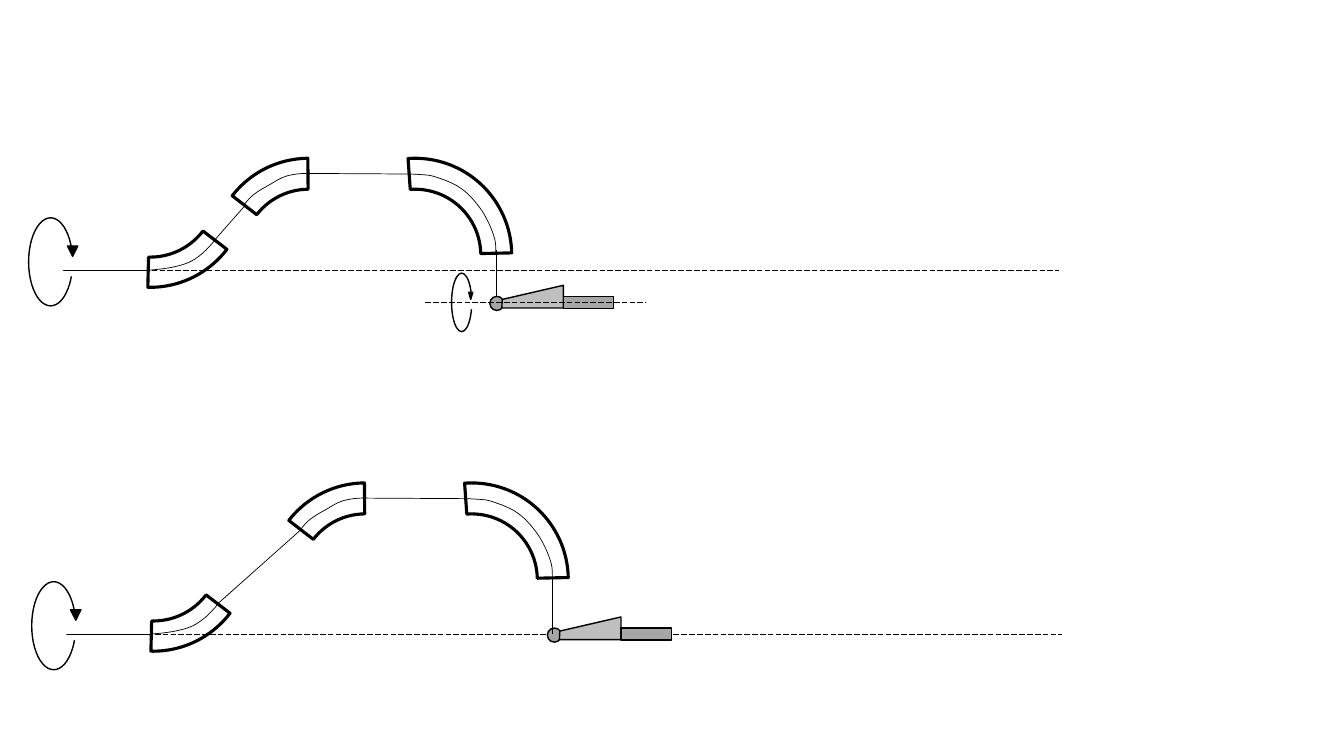
from lxml import etree
from pptx import Presentation
from pptx.dml.color import RGBColor
from pptx.enum.dml import MSO_LINE
from pptx.enum.shapes import MSO_CONNECTOR, MSO_SHAPE
from pptx.oxml.ns import qn
from pptx.util import Pt

STRAIGHT = MSO_CONNECTOR.STRAIGHT
LONG_DASH = MSO_LINE.LONG_DASH
ARC = MSO_SHAPE.ARC
BLOCK_ARC = MSO_SHAPE.BLOCK_ARC
OVAL = MSO_SHAPE.OVAL
RECTANGLE = MSO_SHAPE.RECTANGLE
TRIANGLE = MSO_SHAPE.ISOSCELES_TRIANGLE

BLACK, WHITE, GREY, LIGHT_GREY = "000000", "FFFFFF", "A6A6A6", "BFBFBF"
THIN, MEDIUM, THICK = 0.5, 1, 2.25
BEND_SIZE = 138.2

BASE_CURVE = [(119.5, -21.2), (114.5, -15.1), (108.7, -9), (100.8, -5.4),
              (92.9, -2.2), (82.8, -0.7), (72, 0)]
RISING_CURVE = [(0, 22.7), (2.2, 20), (4.2, 17.4), (7.2, 15.1), (10.6, 12.4),
                (15.3, 9.9), (19.4, 7.6), (23, 5.4), (26.1, 3.4), (30.4, 2),
                (35, 0.6), (40.5, 0.1), (46.1, 0)]
FALLING_CURVE = [(117.4, 0.4), (122.4, 0.7), (128.2, 0.9), (132.5, 1.4),
                 (136.8, 2.2), (139.7, 3.6), (144, 5), (147.6, 6.5),
                 (151.9, 8.3), (155.2, 10.8), (158.4, 13), (161.3, 15.8),
                 (164.2, 19.1), (166.3, 21.6), (168.1, 23.8), (170.3, 27),
                 (172.4, 30.2), (175, 35.3), (176.4, 38.9), (177.8, 42.1),
                 (178.6, 44.6), (179.3, 47.2), (180, 50.4), (180, 53.3),
                 (180, 56.9)]
WEDGE = [(8.6, 8.3), (52.6, 8.3), (52.6, -7.9), (8.9, 2.2)]


def colour(value):
    return RGBColor.from_string(value)


class ArmDrawing:
    def __init__(self, slide):
        self.slide = slide
        self.shapes = slide.shapes

    def start_group(self):
        self.shapes = self.slide.shapes.add_group_shape().shapes

    def style(self, shape, fill, weight):
        shape.shadow.inherit = False
        if fill:
            shape.fill.solid()
            shape.fill.fore_color.rgb = colour(fill)
        else:
            shape.fill.background()
        self.outline(shape, weight)

    def outline(self, shape, weight):
        shape.line.color.rgb = colour(BLACK)
        shape.line.width = Pt(weight)

    def preset(self, kind, x, y, width, height, fill=None, weight=MEDIUM,
               adjustments=(), rotation=0):
        shape = self.shapes.add_shape(kind, Pt(x), Pt(y), Pt(width), Pt(height))
        for index, value in enumerate(adjustments):
            shape.adjustments[index] = value
        shape.rotation = rotation
        self.style(shape, fill, weight)
        return shape

    def line(self, x1, y1, x2, y2, dashed=False):
        line = self.shapes.add_connector(STRAIGHT, Pt(x1), Pt(y1), Pt(x2), Pt(y2))
        self.outline(line, THIN)
        if dashed:
            line.line.dash_style = LONG_DASH
        etree.SubElement(line._element.spPr, qn("a:effectLst"))

    def outline_through(self, x, y, points, close):
        placed = [(Pt(x + dx), Pt(y + dy)) for dx, dy in points]
        builder = self.shapes.build_freeform(*placed[0])
        builder.add_line_segments(placed[1:], close=close)
        return builder.convert_to_shape()

    def polygon(self, x, y, points, fill):
        self.style(self.outline_through(x, y, points, True), fill, MEDIUM)

    def curve(self, x, y, points):
        shape = self.outline_through(x, y, points, False)
        segments = shape._element.xpath(".//a:lnTo")
        for start in range(0, len(segments), 3):
            bezier, *others = segments[start:start + 3]
            bezier.tag = qn("a:cubicBezTo")
            for other in others:
                bezier.append(other[0])
                other.getparent().remove(other)
        self.style(shape, None, THIN)

    def bend(self, x, y, adjustments, flipped=False):
        bend = self.preset(BLOCK_ARC, x, y, BEND_SIZE, BEND_SIZE, weight=THICK,
                           adjustments=adjustments, rotation=180)
        if flipped:
            bend._element.xpath(".//a:xfrm")[0].set("flipV", "1")

    def rotation_arrow(self, loop, head):
        self.preset(ARC, *loop, fill=WHITE, adjustments=(21.041, 196.671))
        self.preset(TRIANGLE, *head, fill=BLACK, rotation=180)

    def base(self, x, y):
        self.bend(x + 4.3, y - 126, (130.446, 162.805, 0.156))
        self.line(x + 35.3, y, x + 722.9, y, dashed=True)
        self.curve(x, y, BASE_CURVE)
        self.line(x, y, x + 72, y)
        self.rotation_arrow((x - 13.3, y - 37.4, 31.4, 62.9),
                            (x + 14.4, y - 17.3, 7.4, 7.4))

    def shoulder(self, x, y):
        self.bend(x - 22.8, y - 10.8, (162.309, 193.339, 0.16), flipped=True)
        self.bend(x + 53.1, y - 10.8, (108.752, 164.469, 0.16), flipped=True)
        self.line(x + 45.7, y + 0.1, x + 117.6, y + 0.5)
        self.curve(x, y, RISING_CURVE)
        self.curve(x, y, FALLING_CURVE)

    def tool(self, x, y):
        self.preset(OVAL, x, y, 10.1, 10.1, fill=GREY)
        self.polygon(x, y, WEDGE, LIGHT_GREY)
        self.preset(RECTANGLE, x + 52.6, y, 36, 8.6, fill=GREY)


def main():
    presentation = Presentation()
    presentation.slide_width = Pt(960)
    presentation.slide_height = Pt(540)
    slide = presentation.slides.add_slide(presentation.slide_layouts[6])
    arm = ArmDrawing(slide)

    arm.start_group()
    arm.base(36, 452.9)
    arm.tool(391, 448.6)
    arm.shoulder(214.6, 355.7)
    arm.line(155.5, 431.3, 214.6, 378.7)
    arm.line(394.6, 412.6, 394.6, 452.9)

    arm.start_group()
    arm.base(33.8, 193)
    arm.shoulder(174.2, 123.8)
    arm.line(354.2, 178.6, 354.2, 218.9)
    arm.tool(349.9, 211.7)
    arm.line(153.4, 171.4, 175, 146.9)
    arm.rotation_arrow((322.6, 195.1, 14.4, 41.8), (334.8, 208.8, 2.9, 5))
    arm.line(303.8, 216, 461.5, 216, dashed=True)

    presentation.save("out.pptx")


if __name__ == "__main__":
    main()
